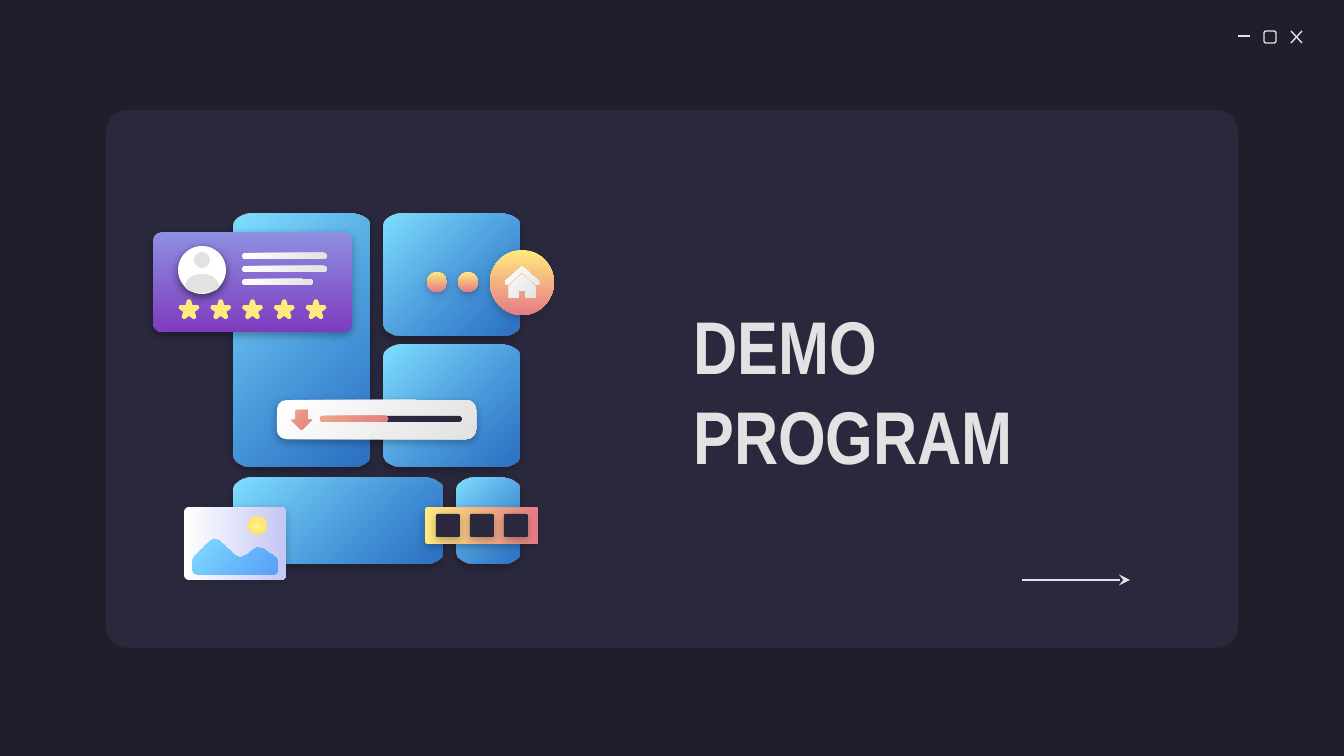
from math import cos, sin, pi, radians
from lxml import etree
from pptx import Presentation
from pptx.dml.color import RGBColor
from pptx.enum.shapes import MSO_CONNECTOR, MSO_SHAPE
from pptx.enum.text import MSO_ANCHOR, MSO_AUTO_SIZE, PP_ALIGN
from pptx.oxml.ns import qn
from pptx.util import Emu, Inches, Pt

PX = 914400 / 134.4
FINE = 20
LINE = MSO_CONNECTOR.STRAIGHT
ROUND = MSO_SHAPE.ROUNDED_RECTANGLE
OVAL = MSO_SHAPE.OVAL
ARROW = MSO_SHAPE.DOWN_ARROW

THEME = {
    "font": "Arial Narrow", "title": Pt(40), "line": Pt(0.75),
    "back": "1E1E2C", "panel": "29283D", "light": "E2E2E2",
    "white": "FFFFFF", "star": "FFEA7D", "black": "000000",
}
GRADS = {
    "sky": ("80DFFF", "318FFA", 45),
    "violet": ("8D90E1", "7E3BBE", 90),
    "silver": ("FFFFFF", "E2E2E2", 45),
    "coral": ("E9A984", "E57C85", 45),
    "photo": ("FFFFFF", "C5C7F4", 0),
    "film": ("FFEA7D", "E57C85", 0),
    "sunset": ("FFEA7D", "E57C85", 90),
    "sun": ("FFF68E", "FFD966", None),
}
CLEAR = {"sky": 72}
SHADES = {"soft": ("black", 30), "deep": ("black", 50), "night": ("back", 30)}

TITLE = "DEMO PROGRAM"
TITLE_BOX = (680, 331, 532, 117)
PANEL = (106, 110, 1132, 538)
TILES = [(384, 214, 135, 122), (234, 214, 136, 253), (384, 345, 135, 122),
         (456, 478, 63, 86), (234, 478, 208, 86)]
CARD = [
    (ROUND, (153, 232, 199, 100), "violet", "soft", [0.09]),
    (OVAL, (178, 246, 48, 48), "white", "deep", []),
    (OVAL, (194, 252, 16, 16), "light", None, []),
]
CARD += [(ROUND, (242, 253 + 13 * i, w, 6), "silver", None, [0.5])
         for i, w in enumerate((85, 85, 71))]
LOADER = [
    (ROUND, (277, 400, 199, 39), "silver", "soft", [0.24]),
    (ROUND, (320, 416, 142, 6), "panel", None, [0.5]),
    (ROUND, (320, 416, 68, 6), "coral", None, [0.5]),
    (ARROW, (291, 410, 21, 20), "coral", None, [0.55, 0.5]),
]
PHOTO = [
    (ROUND, (184, 507, 102, 73), "photo", "night", [0.07]),
    (OVAL, (248, 516, 19, 19), "sun", None, []),
]
FILM = [(ROUND, (425, 507, 113, 37), "film", "night", [0.07])]
FILM += [(ROUND, (436 + 34 * i, 514, 24, 23), "panel", "night", [0.07])
         for i in range(3)]
DOTS = [(OVAL, box, "sunset", "night", []) for box in
        ((490, 250, 64, 65), (458, 272, 20, 20), (427, 272, 20, 20))]
HILLS = [(193, 560), (195, 556), (210, 541), (215, 539), (220, 541),
         (235, 555), (240, 557), (245, 555), (254, 548), (258, 547),
         (262, 548), (275, 557), (277, 560), (277, 571), (275, 574),
         (272, 575), (198, 575), (194, 573), (193, 570)]
ROOF = [(522, 266), (505, 281), (505, 284), (508, 285), (522, 272),
        (536, 285), (539, 284), (539, 281)]
HOUSE = [(522, 274), (509, 286), (509, 298), (519, 298), (519, 291),
         (525, 291), (525, 298), (535, 298), (535, 286)]
STARS = [(189 + 31.75 * i, 310) for i in range(5)]
SPOKES = [(-36, 6), (-13, 9.6), (-6, 10.6), (6, 10.6), (13, 9.6)]
RULES = [(1238, 36, 1250, 36), (1291, 31, 1302, 43), (1302, 31, 1291, 43)]
NEXT = (1022, 580, 1130, 580)


def emu(box):
    return [Emu(round(v * PX)) for v in box]


def rgb(name):
    return RGBColor.from_string(THEME.get(name, name))


def add(node, tag, **attrs):
    return etree.SubElement(node, qn(tag), attrs)


def paint(shape, name, shade=None):
    shape.shadow.inherit = False
    shape.line.fill.background()
    fill, props = shape.fill, shape._element.spPr
    if name in GRADS:
        *ends, angle = GRADS[name]
        fill.gradient()
        for stop, tone, spot in zip(fill.gradient_stops, ends, (0, 1)):
            stop.color.rgb, stop.position = rgb(tone), spot
        if angle is None:
            grad = props.find(qn("a:gradFill"))
            grad.remove(grad.find(qn("a:lin")))
            ring = add(grad, "a:path", path="circle")
            add(ring, "a:fillToRect", l="50000", t="50000", r="50000", b="50000")
        else:
            fill.gradient_angle = -angle % 360
        if name in CLEAR:
            tone = props.findall(".//" + qn("a:gs"))[-1][0]
            add(tone, "a:alpha", val=str(CLEAR[name] * 1000))
    else:
        fill.solid()
        fill.fore_color.rgb = rgb(name)
    if shade:
        tone, alpha = SHADES[shade]
        cast = add(props.find(qn("a:effectLst")), "a:outerShdw",
                   blurRad=str(Pt(4.5)), dist=str(Pt(1.5)), dir="5400000",
                   algn="bl", rotWithShape="0")
        color = add(cast, "a:srgbClr", val=THEME[tone])
        add(color, "a:alpha", val=str(alpha * 1000))


def preset(kind, box, name, shade, adjust):
    shape = shapes.add_shape(kind, *emu(box))
    for i, value in enumerate(adjust):
        shape.adjustments[i] = value
    paint(shape, name, shade)
    return shape


def outline(name, *paths, shade=None):
    paths = [[(x * FINE, y * FINE) for x, y in path] for path in paths]
    build = shapes.build_freeform(*paths[0][0], scale=PX / FINE)
    for i, path in enumerate(paths):
        if i:
            build.move_to(*path[0])
        build.add_line_segments(path[1:], close=True)
    paint(build.convert_to_shape(), name, shade)


def tile(x, y, w, h, rx=19, ry=12):
    spots = [(x + w - rx, y + h - ry), (x + rx, y + h - ry),
             (x + rx, y + ry), (x + w - rx, y + ry)]
    return [(cx + rx * cos(a), cy + ry * sin(a))
            for turn, (cx, cy) in enumerate(spots)
            for a in [(turn + i / 8) * pi / 2 for i in range(9)]]


def star(cx, cy):
    return [(cx + r * sin(a), cy - r * cos(a)) for turn in range(5)
            for a, r in [(radians(72 * turn + d), r) for d, r in SPOKES]]


def bust(cx, cy, rx, up, down):
    turns = [i * pi / 16 for i in range(32)]
    return [(cx + rx * cos(a), cy + (down if sin(a) > 0 else up) * sin(a))
            for a in turns]


def rule(ends, tip=False):
    line = shapes.add_connector(LINE, *emu(ends))
    line.line.color.rgb = rgb("light")
    line.line.width = THEME["line"]
    if tip:
        add(line.line._get_or_add_ln(), "a:tailEnd", type="stealth")
    add(line._element.spPr, "a:effectLst")


deck = Presentation()
deck.slide_width, deck.slide_height = emu((1344, 756))
slide = deck.slides.add_slide(deck.slide_layouts[5])
shapes = slide.shapes
slide.background.fill.solid()
slide.background.fill.fore_color.rgb = rgb("back")

preset(ROUND, PANEL, "panel", None, [0.04])
for ends in RULES:
    rule(ends)
frame = preset(ROUND, (1264, 31, 12, 12), "panel", None, [0.17])
frame.fill.background()
frame.line.color.rgb = rgb("light")
frame.line.width = THEME["line"]

for box in TILES:
    outline("sky", tile(*box), shade="soft")
for item in CARD + LOADER + PHOTO + FILM + DOTS:
    preset(*item)
outline("light", bust(202, 286, 17, 12, 7))
for spot in STARS:
    outline("star", star(*spot))
outline("sky", HILLS)
outline("silver", ROOF, HOUSE)
rule(NEXT, tip=True)

title = shapes.title
shapes._spTree.append(title._element)
title.left, title.top, title.width, title.height = emu(TITLE_BOX)
text = title.text_frame
text.text = TITLE
text.word_wrap = True
text.auto_size = MSO_AUTO_SIZE.NONE
text.vertical_anchor = MSO_ANCHOR.MIDDLE
text.margin_left = text.margin_right = Inches(0.1)
text.margin_top = text.margin_bottom = Inches(0.1)
para = text.paragraphs[0]
para.alignment = PP_ALIGN.LEFT
para.font.name, para.font.size = THEME["font"], THEME["title"]
para.font.bold = True
para.font.color.rgb = rgb("light")

deck.save("out.pptx")
